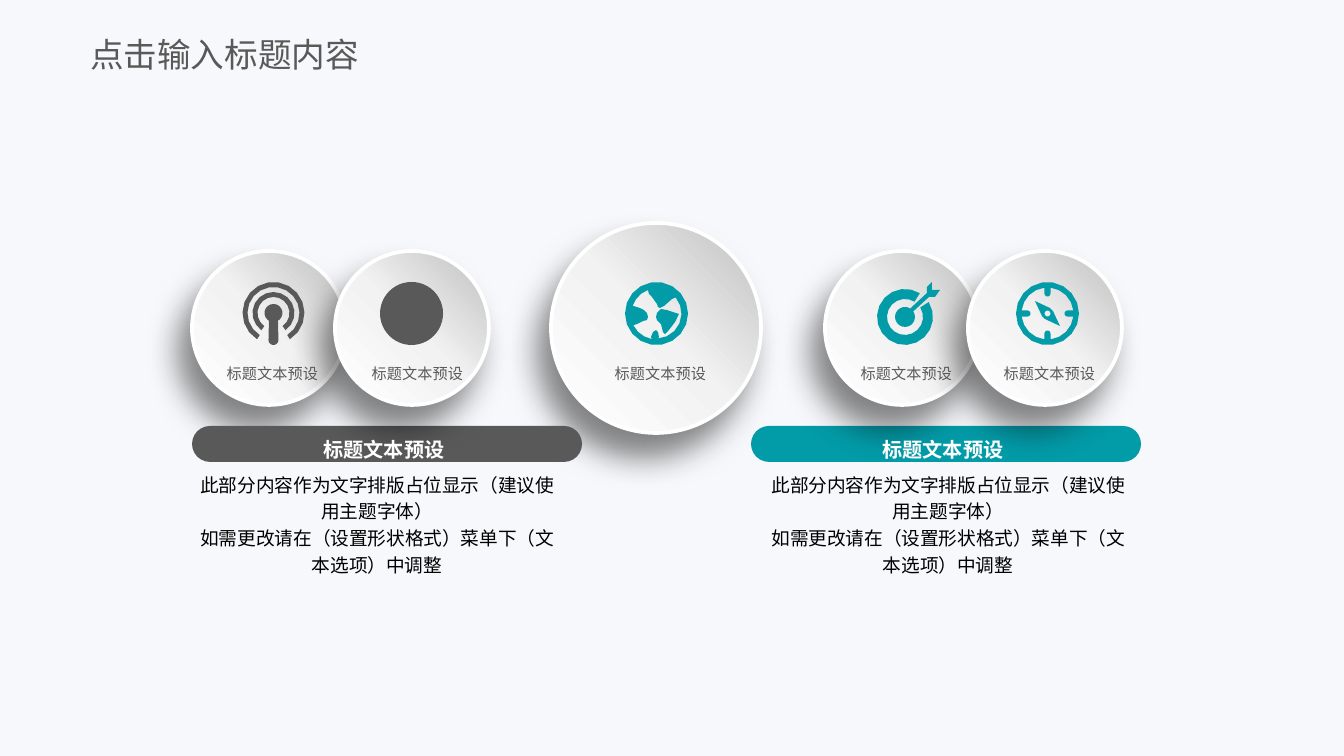
import copy
import math

import pptx
import pptx.dml.color
import pptx.enum.shapes
import pptx.enum.text
import pptx.oxml.ns
import pptx.util
from lxml import etree

PX = 914400 / 134.4
FONT = "Noto Sans CJK SC"
LABEL = "标题文本预设"
BODY = ["此部分内容作为文字排版占位显示（建议使用主题字体）",
        "如需更改请在（设置形状格式）菜单下（文本选项）中调整"]
COLORS = {"bg": "F7F8FB", "gray": "595959", "teal": "029BA8",
          "white": "FFFFFF", "black": "000000", "shadow": "0D0D0D"}
DISC_STOPS = [(0, "BFBFBF"), (0.5, "F2F2F2"), (1, "FFFFFF")]
ICON = 63
MID = ICON / 2
SHAPE = pptx.enum.shapes.MSO_SHAPE
ALIGN = pptx.enum.text.PP_ALIGN
ANCHOR = pptx.enum.text.MSO_ANCHOR


def emu(px):
    return pptx.util.Emu(round(px * PX))


def rgb(name):
    return pptx.dml.color.RGBColor.from_string(COLORS.get(name, name))


def qn(tag):
    return pptx.oxml.ns.qn(tag)


def write(tf, lines, size, color, align=ALIGN.CENTER, anchor=ANCHOR.MIDDLE,
          wrap=False, bold=False, insets=(0, 0), spacing=1.0):
    tf.auto_size = pptx.enum.text.MSO_AUTO_SIZE.NONE
    tf.word_wrap = wrap
    tf.vertical_anchor = anchor
    tf.margin_left = tf.margin_right = emu(insets[0])
    tf.margin_top = tf.margin_bottom = emu(insets[1])
    p = tf.paragraphs[0]
    p.alignment = align
    p.line_spacing = spacing
    for i, line in enumerate(lines):
        if i:
            p.add_line_break()
        r = p.add_run()
        r.text = line
        r.font.size = pptx.util.Pt(size)
        r.font.bold = bold
        r.font.color.rgb = rgb(color)
        r.font.name = FONT
        r.font._element.find(qn("a:latin")).addnext(
            etree.Element(qn("a:ea"), typeface=FONT))


def add_text(s, x, y, w, h, lines, size, color, **options):
    tf = s.shapes.add_textbox(emu(x), emu(y), emu(w), emu(h)).text_frame
    write(tf, lines, size, color, **options)


def paint(sp, color):
    sp.shadow.inherit = False
    sp.fill.solid()
    sp.fill.fore_color.rgb = rgb(color)
    sp.line.fill.background()


def add_plain(s, kind, x, y, w, h, color):
    sp = s.shapes.add_shape(kind, emu(x), emu(y), emu(w), emu(h))
    paint(sp, color)
    return sp


def add_disc(s, x, y, size):
    sp = s.shapes.add_shape(SHAPE.OVAL, emu(x), emu(y), emu(size), emu(size))
    sp.fill.gradient()
    sp.fill.gradient_angle = 225
    stops = sp._element.spPr.find(".//" + qn("a:gsLst"))
    stops.append(copy.deepcopy(stops[0]))
    for stop, (position, color) in zip(sp.fill.gradient_stops, DISC_STOPS):
        stop.position = position
        stop.color.rgb = rgb(color)
    sp.line.color.rgb = rgb("white")
    sp.line.width = pptx.util.Pt(2)
    sp.shadow.inherit = False
    effects = sp._element.spPr.find(qn("a:effectLst"))
    shadow = etree.SubElement(
        effects, qn("a:outerShdw"), blurRad=str(pptx.util.Pt(17)),
        dist=str(pptx.util.Pt(14)), dir=str(120 * 60000), algn="ctr", rotWithShape="0")
    tint = etree.SubElement(shadow, qn("a:srgbClr"), val=COLORS["shadow"])
    etree.SubElement(tint, qn("a:alpha"), val="50000")


def arc(cx, cy, radius, start, end):
    steps = max(3, round(abs(end - start) / 20))
    angles = [math.radians(start + (end - start) * i / steps) for i in range(steps + 1)]
    return [(cx + radius * math.cos(a), cy + radius * math.sin(a)) for a in angles]


def circle(cx, cy, radius):
    return arc(cx, cy, radius, 0, 360)[:-1]


def band(cx, cy, outer, inner, start, end):
    return arc(cx, cy, outer, start, end) + arc(cx, cy, inner, end, start)


def podcast():
    stem = (arc(MID, 31, 9, 115, 425) + [(36, 38)]
            + arc(MID, 58, 5, 0, 180) + [(27, 38)])
    return [band(MID, 31, 31, 26, 122, 418), band(MID, 31, 21, 16, 125, 415), stem]


def globe():
    sea = (arc(MID, MID, 26, 100, 153)
           + [(12, 42), (18, 39), (22, 38), (23, 35), (22, 31), (19, 28), (15, 26)]
           + arc(MID, MID, 25, 198, 250)
           + [(24, 12), (27, 15), (32, 22), (33, 25), (35, 26), (39, 24), (47, 17)]
           + arc(MID, MID, 25, -40, 87)
           + [(34, 55), (33, 50), (31, 48), (28, 50), (26, 55)])
    land = [(48, 30), (42, 28), (36, 27), (32, 31), (31, 35), (32, 38), (36, 42),
            (38, 50), (40, 52), (44, 48), (50, 40), (54, 32)]
    return [circle(MID, MID, MID), sea, land]


def target():
    arrow = arc(28, 35, 10, -34, 302) + [
        (50, 11), (50, 5), (55, 0), (55, 8), (63, 8), (58, 15), (52, 15)]
    return [band(28, 35, 28, 18, -32, 302), arrow]


def compass():
    dial = []
    for turn in range(90, 450, 90):
        a = math.radians(turn)
        dial += arc(MID, MID, 26, turn - 83, turn - 7)
        dial += arc(MID + 20 * math.cos(a), MID + 20 * math.sin(a), 3, turn - 90, turn - 270)
    needle = [(34, 26), (19, 19), (26, 34), (29, 37), (44, 44), (37, 29)]
    return [circle(MID, MID, MID), dial, needle, circle(MID, MID, 3)]


def add_icon(s, x, y, contours, color):
    fb = None
    for contour in contours:
        points = [(emu(x + px), emu(y + py)) for px, py in contour]
        if fb is None:
            fb = s.shapes.build_freeform(*points[0])
        else:
            fb.move_to(*points[0])
        fb.add_line_segments(points[1:], close=True)
    paint(fb.convert_to_shape(), color)


def add_label(s, x, y):
    add_text(s, x, y, 91, 28, [LABEL], 8.1, "gray")


def add_title(s, x, y, w, h):
    sp = s.shapes.title
    sp.left, sp.top, sp.width, sp.height = emu(x), emu(y), emu(w), emu(h)
    write(sp.text_frame, ["点击输入标题内容"], 18, "gray",
          align=ALIGN.LEFT, wrap=True, insets=(0, 7))


def add_center(s, x, y, size):
    add_disc(s, x, y, size)
    add_label(s, x + 64, y + 136)
    add_icon(s, x + 74, y + 59, globe(), "teal")


def add_panel(s, x, y, color, discs, discs_below_bar, icons, labels, body):
    for i, dx in enumerate(discs):
        if i == discs_below_bar:
            bar = add_plain(s, SHAPE.ROUNDED_RECTANGLE, x, y + 175, 390, 36, color)
            bar.adjustments[0] = 0.5
        add_disc(s, x + dx, y, 154)
    for dx in labels:
        add_label(s, x + dx, y + 108)
    for dx, contours in icons:
        if contours:
            add_icon(s, x + dx, y + 31, contours, color)
        else:
            add_plain(s, SHAPE.OVAL, x + dx, y + 31, ICON, ICON, color)
    add_text(s, x + 131, y + 187, 122, 22, [LABEL], 10.8, "white", bold=True)
    add_text(s, x + body, y + 211, 386, 126, BODY, 10, "black",
             anchor=ANCHOR.TOP, wrap=True, insets=(13, 7), spacing=1.2)


def main():
    prs = pptx.Presentation()
    prs.slide_width, prs.slide_height = emu(1344), emu(756)
    s = prs.slides.add_slide(prs.slide_layouts[5])
    add_plain(s, SHAPE.RECTANGLE, 0, 0, 1344, 756, "bg")
    add_center(s, 551, 223, 210)
    add_panel(s, 192, 251, "gray", discs=(0, 143), discs_below_bar=1,
              icons=[(50, podcast()), (188, None)], labels=(35, 180), body=-8)
    add_panel(s, 751, 251, "teal", discs=(74, 217), discs_below_bar=0,
              icons=[(126, target()), (265, compass())], labels=(110, 253), body=4)
    add_title(s, 90, 26, 313, 56)
    title = s.shapes.title._element
    title.getparent().append(title)
    prs.save("out.pptx")


if __name__ == "__main__":
    main()
